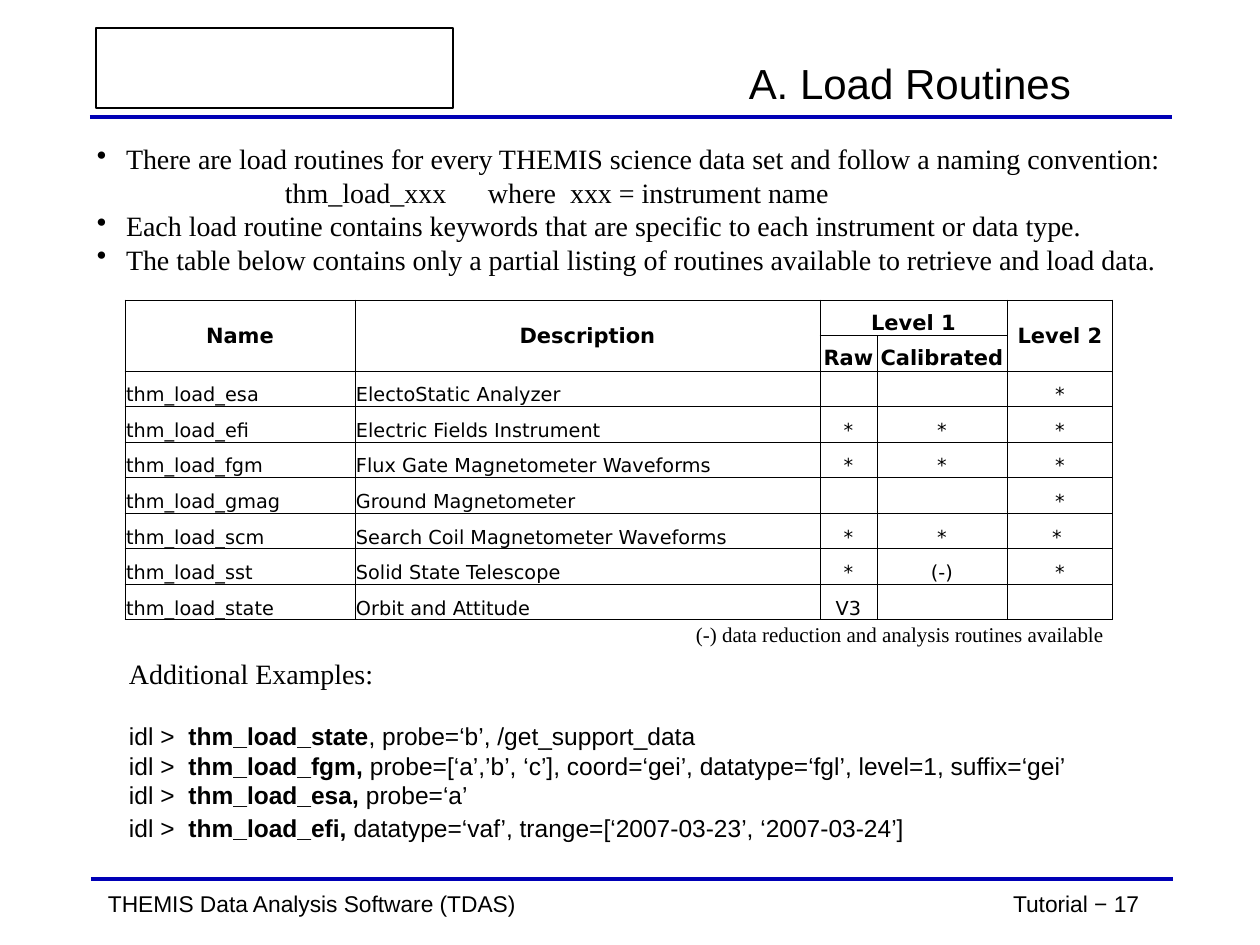
"""Build the THEMIS load routines tutorial slide."""
from dataclasses import dataclass
from typing import NamedTuple

from lxml import etree
from pptx import Presentation
from pptx.dml.color import RGBColor
from pptx.enum.shapes import MSO_CONNECTOR, MSO_SHAPE
from pptx.enum.text import MSO_ANCHOR, PP_ALIGN
from pptx.oxml.ns import qn
from pptx.util import Emu, Pt

STRAIGHT = MSO_CONNECTOR.STRAIGHT
ROUNDED = MSO_SHAPE.ROUNDED_RECTANGLE
TOP, MIDDLE, BOTTOM = MSO_ANCHOR.TOP, MSO_ANCHOR.MIDDLE, MSO_ANCHOR.BOTTOM
LEFT, CENTER, RIGHT = PP_ALIGN.LEFT, PP_ALIGN.CENTER, PP_ALIGN.RIGHT
PX_PER_INCH = 126


@dataclass(frozen=True)
class Theme:
    ink: RGBColor = RGBColor(0, 0, 0)
    rule: RGBColor = RGBColor(0x00, 0x00, 0xB6)
    sans: str = "Arial"
    serif: str = "Times New Roman"
    grid: str = "DejaVu Sans"
    title: int = 24
    body: int = 16
    code: int = 14
    footer: int = 13
    note: int = 12
    head: int = 12
    cell: int = 11
    body_line: Pt = Pt(19.1)
    code_line: Pt = Pt(17)


class Box(NamedTuple):
    left: int
    top: int
    width: int
    height: int


class Rule(NamedTuple):
    left: int
    right: int
    y: int


class Routine(NamedTuple):
    name: str
    description: str
    raw: str
    calibrated: str
    level2: str


class Example(NamedTuple):
    command: str
    arguments: str
    before: int = 0


class Heading(NamedTuple):
    row: int
    column: int
    text: str
    last_row: int
    last_column: int


THEME = Theme()
RULES = [Rule(90, 1172, 117), Rule(91, 1173, 879)]
LOGO_FRAME = Box(96, 28, 357, 80)
TITLE = Box(63, 44, 1008, 82)
INTRO = Box(84, 136, 1113, 149)
TABLE = Box(125, 300, 988, 320)
NOTE = Box(683, 620, 441, 34)
EXAMPLES_AREA = Box(116, 651, 1092, 233)
FOOTER = Box(95, 886, 1074, 39)
COLUMNS = [230, 465, 57, 130, 106]
BULLET_INDENT = 29
HEADINGS = [
    Heading(0, 0, "Name", 1, 0),
    Heading(0, 1, "Description", 1, 1),
    Heading(0, 2, "Level 1", 0, 3),
    Heading(0, 4, "Level 2", 1, 4),
    Heading(1, 2, "Raw", 1, 2),
    Heading(1, 3, "Calibrated", 1, 3),
]
ROUTINES = [
    Routine("thm_load_esa", "ElectoStatic Analyzer", "", "", "*"),
    Routine("thm_load_efi", "Electric Fields Instrument", "*", "*", "*"),
    Routine("thm_load_fgm", "Flux Gate Magnetometer Waveforms", "*", "*", "*"),
    Routine("thm_load_gmag", "Ground Magnetometer", "", "", "*"),
    Routine("thm_load_scm", "Search Coil Magnetometer Waveforms", "*", "*", "* "),
    Routine("thm_load_sst", "Solid State Telescope", "*", "(-)", "*"),
    Routine("thm_load_state", "Orbit and Attitude", "V3", "", ""),
]
CONVENTION = "\tthm_load_xxx\twhere  xxx = instrument name"
INTRO_LINES = [
    "There are load routines for every THEMIS science data set and follow a naming convention:",
    CONVENTION,
    "Each load routine contains keywords that are specific to each instrument or data type.",
    "The table below contains only a partial listing of routines available to retrieve and load data.",
]
EXAMPLES = [
    Example("thm_load_state", ", probe=‘b’, /get_support_data", 30),
    Example("thm_load_fgm, ", "probe=[‘a’,’b’, ‘c’], coord=‘gei’, datatype=‘fgl’, level=1, suffix=‘gei’"),
    Example("thm_load_esa, ", "probe=‘a’"),
    Example("thm_load_efi, ", "datatype=‘vaf’, trange=[‘2007-03-23’, ‘2007-03-24’]", 3),
]


def px(count: int) -> Emu:
    return Emu(round(count * 914400 / PX_PER_INCH))


def write(paragraph, text: str, *, font: str, size: int, bold: bool = False,
          align=LEFT, line=None, before: int = 0) -> None:
    paragraph.alignment = align
    if line:
        paragraph.line_spacing = line
    if before:
        paragraph.space_before = px(before)
    if not text:
        paragraph._p.get_or_add_endParaRPr().set("sz", str(size * 100))
        return
    run = paragraph.add_run()
    run.text = text
    run.font.name, run.font.size, run.font.bold = font, Pt(size), bold
    run.font.color.rgb = THEME.ink


def add_bullet(paragraph) -> None:
    properties = paragraph._p.get_or_add_pPr()
    properties.set("marL", str(px(BULLET_INDENT)))
    properties.set("indent", str(-px(BULLET_INDENT)))
    etree.SubElement(properties, qn("a:buChar"), char="•")


def add_tabs(paragraph, *stops: tuple[int, str]) -> None:
    tabs = etree.SubElement(paragraph._p.get_or_add_pPr(), qn("a:tabLst"))
    for position, side in stops:
        etree.SubElement(tabs, qn("a:tab"), pos=str(px(position)), algn=side)


def add_frame(slide, box: Box, *, anchor=TOP, inset: tuple[int, int] = (13, 6)):
    frame = slide.shapes.add_textbox(*map(px, box)).text_frame
    frame.word_wrap = True
    frame.vertical_anchor = anchor
    frame.margin_left = frame.margin_right = px(inset[0])
    frame.margin_top = frame.margin_bottom = px(inset[1])
    return frame


def draw_rule(slide, rule: Rule) -> None:
    line = slide.shapes.add_connector(STRAIGHT, px(rule.left), px(rule.y), px(rule.right), px(rule.y))
    line.line.color.rgb, line.line.width = THEME.rule, Pt(2.25)
    etree.SubElement(line._element.spPr, qn("a:effectLst"))


def draw_logo_frame(slide) -> None:
    frame = slide.shapes.add_shape(ROUNDED, *map(px, LOGO_FRAME))
    frame.adjustments[0] = 0
    frame.shadow.inherit = False
    frame.fill.background()
    frame.line.color.rgb, frame.line.width = THEME.ink, Pt(1)


def style_cell(cell) -> None:
    properties = cell._tc.get_or_add_tcPr()
    for side in ("lnL", "lnR", "lnT", "lnB"):
        border = etree.SubElement(properties, qn(f"a:{side}"), w=str(Pt(0.5)))
        fill = etree.SubElement(border, qn("a:solidFill"))
        etree.SubElement(fill, qn("a:srgbClr"), val=str(THEME.ink))
    cell.fill.background()
    cell.margin_left = cell.margin_right = cell.margin_top = px(1)
    cell.margin_bottom = 0
    cell.vertical_anchor = BOTTOM


def draw_table(slide) -> None:
    row_count = 2 + len(ROUTINES)
    table = slide.shapes.add_table(row_count, len(COLUMNS), *map(px, TABLE)).table
    table.first_row = table.horz_banding = False
    for column, width in zip(table.columns, COLUMNS):
        column.width = px(width)
    for row in table.rows:
        row.height = px(TABLE.height) // row_count
    for cell in table.iter_cells():
        style_cell(cell)
        write(cell.text_frame.paragraphs[0], "", font=THEME.grid, size=THEME.cell)
    for heading in HEADINGS:
        cell = table.cell(heading.row, heading.column)
        last = table.cell(heading.last_row, heading.last_column)
        if (heading.row, heading.column) != (heading.last_row, heading.last_column):
            cell.merge(last)
        cell.vertical_anchor = MIDDLE if heading.last_row > heading.row else BOTTOM
        write(cell.text_frame.paragraphs[0], heading.text, font=THEME.grid,
              size=THEME.head, bold=True, align=CENTER)
    for row, routine in enumerate(ROUTINES, start=2):
        for column, value in enumerate(routine):
            write(table.cell(row, column).text_frame.paragraphs[0], value, font=THEME.grid,
                  size=THEME.cell, align=LEFT if column < 2 else CENTER)


def draw_intro(slide) -> None:
    frame = add_frame(slide, INTRO)
    for index, text in enumerate(INTRO_LINES):
        paragraph = frame.add_paragraph() if index else frame.paragraphs[0]
        if text == CONVENTION:
            add_tabs(paragraph, (188, "l"), (391, "l"))
        else:
            add_bullet(paragraph)
        write(paragraph, text, font=THEME.serif, size=THEME.body, line=THEME.body_line)


def draw_examples(slide) -> None:
    frame = add_frame(slide, EXAMPLES_AREA)
    write(frame.paragraphs[0], "Additional Examples:", font=THEME.serif,
          size=THEME.body, line=THEME.body_line)
    for example in EXAMPLES:
        paragraph = frame.add_paragraph()
        for text, bold in (("idl >  ", False), (example.command, True), (example.arguments, False)):
            write(paragraph, text, font=THEME.sans, size=THEME.code, bold=bold,
                  line=THEME.code_line, before=example.before)


def main() -> None:
    deck = Presentation()
    deck.slide_width, deck.slide_height = px(1260), px(945)
    slide = deck.slides.add_slide(deck.slide_layouts[6])
    for rule in RULES:
        draw_rule(slide, rule)
    draw_logo_frame(slide)
    footer = add_frame(slide, FOOTER).paragraphs[0]
    add_tabs(footer, (1031, "r"))
    write(footer, "THEMIS Data Analysis Software (TDAS)\tTutorial − 17",
          font=THEME.sans, size=THEME.footer, line=0.93)
    title = add_frame(slide, TITLE, anchor=MIDDLE, inset=(0, 0)).paragraphs[0]
    write(title, "A. Load Routines", font=THEME.sans, size=THEME.title, align=RIGHT, line=0.93)
    note = add_frame(slide, NOTE).paragraphs[0]
    write(note, "(-) data reduction and analysis routines available",
          font=THEME.serif, size=THEME.note, line=0.83)
    draw_table(slide)
    draw_intro(slide)
    draw_examples(slide)
    deck.save("out.pptx")


if __name__ == "__main__":
    main()
